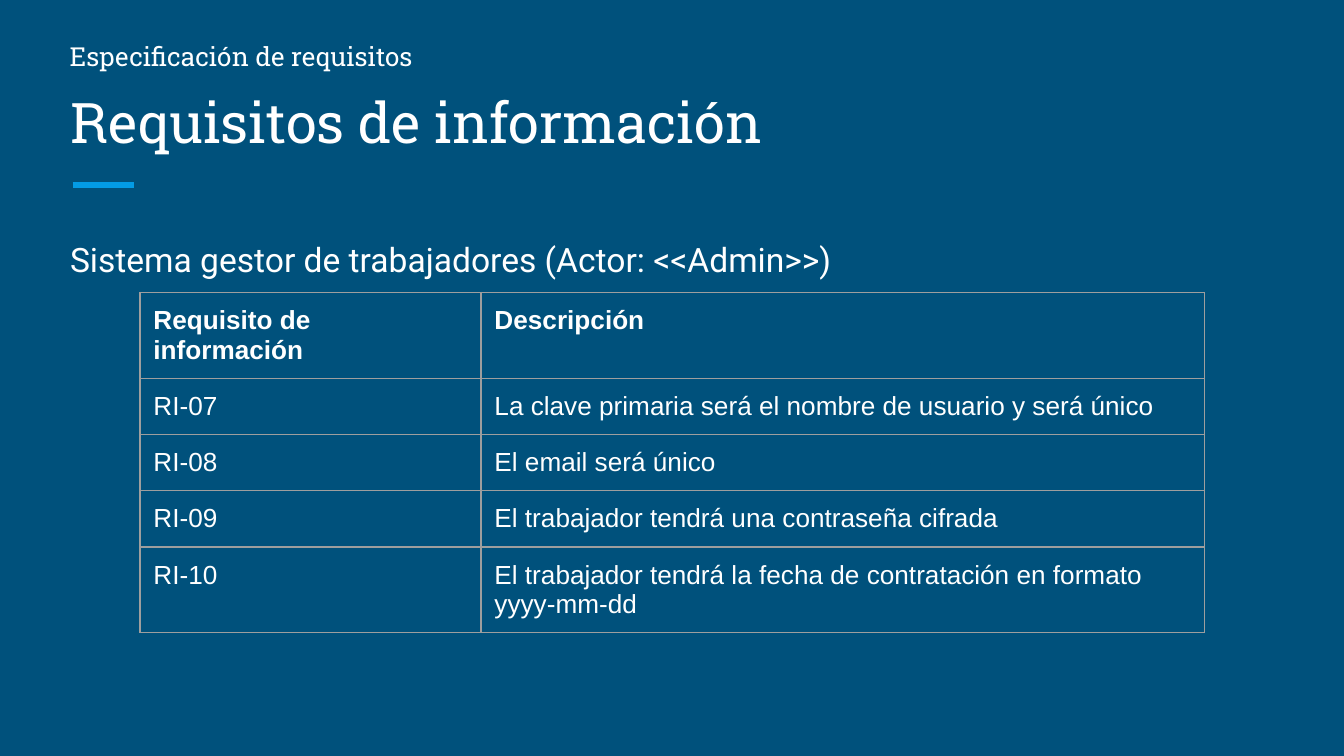
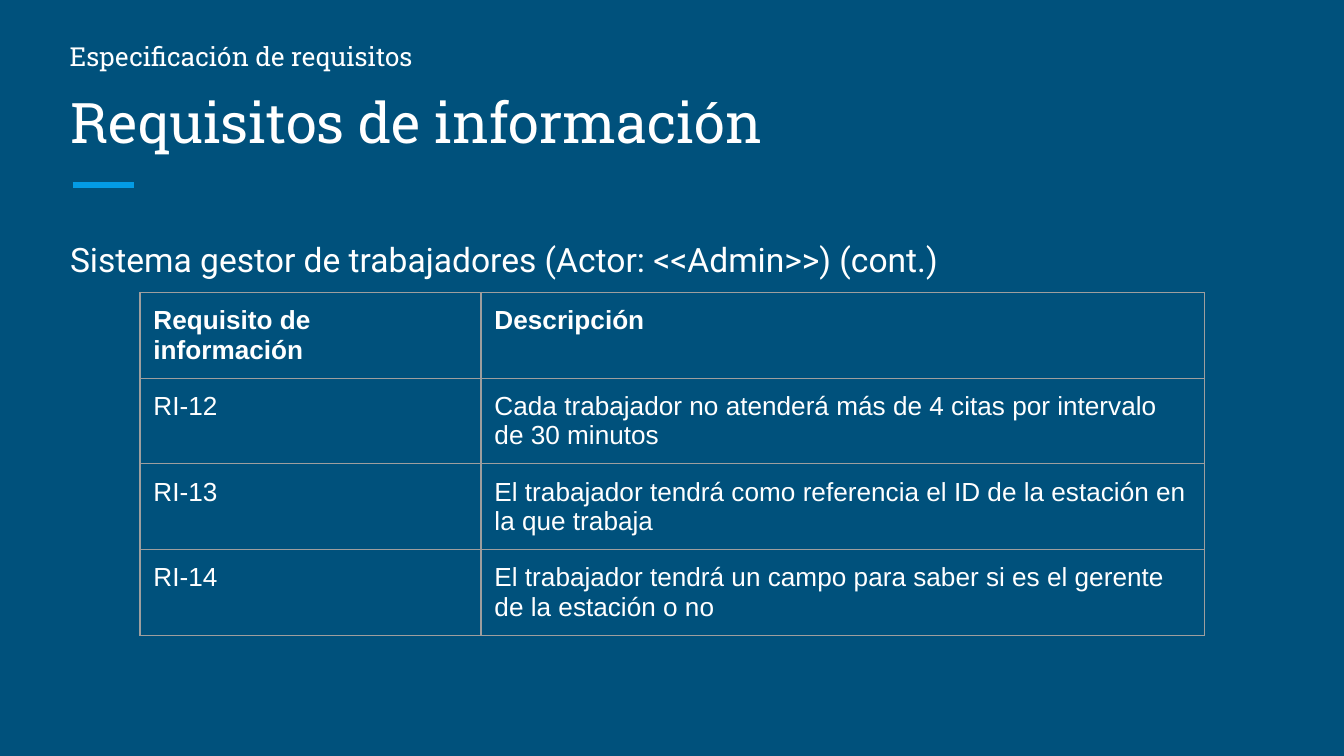
from lxml.etree import SubElement
from pptx import Presentation
from pptx.dml.color import RGBColor
from pptx.enum.shapes import MSO_CONNECTOR
from pptx.enum.text import MSO_ANCHOR, MSO_AUTO_SIZE, PP_ALIGN
from pptx.oxml.ns import qn
from pptx.util import Pt

SECTION = "Especificación de requisitos"
TITLE = "Requisitos de información"
HEADER = ("Requisito de información", "Descripción")
SLIDES = [
    {
        "system": "Sistema gestor de trabajadores (Actor: <<Admin>>)",
        "requirements": [
            ("RI-07", "La clave primaria será el nombre de usuario y será único"),
            ("RI-08", "El email será único"),
            ("RI-09", "El trabajador tendrá una contraseña cifrada"),
            ("RI-10", "El trabajador tendrá la fecha de contratación en formato yyyy-mm-dd"),
        ],
    },
    {
        "system": "Sistema gestor de trabajadores (Actor: <<Admin>>) (cont.)",
        "requirements": [
            ("RI-12", "Cada trabajador no atenderá más de 4 citas por intervalo de 30 minutos"),
            ("RI-13", "El trabajador tendrá como referencia el ID de la estación en la que trabaja"),
            ("RI-14", "El trabajador tendrá un campo para saber si es el gerente de la estación o no"),
        ],
    },
]

COLORS = {"background": "00517C", "accent": "039BE5", "text": "FFFFFF", "border": "9E9E9E"}
HEADING_FONT, BODY_FONT, TABLE_FONT = "Roboto Slab", "Roboto", "Arial"
INSET = Pt(7.2)
LEFT, WIDTH = 30.3, 658.8
COLUMNS = (182.7, 387.5)
ROW_HEIGHT = 30


def color(name):
    return RGBColor.from_string(COLORS[name])


def set_insets(target):
    target.margin_left = target.margin_right = INSET
    target.margin_top = target.margin_bottom = INSET


def write(frame, text, font, size, bold=False):
    paragraph = frame.paragraphs[0]
    paragraph.alignment = PP_ALIGN.LEFT
    run = paragraph.add_run()
    run.text = text
    run.font.name, run.font.size, run.font.bold = font, Pt(size), bold
    run.font.color.rgb = color("text")
    return paragraph


def fill_box(shape, box, anchor, text, font, size):
    shape.left, shape.top, shape.width, shape.height = map(Pt, box)
    frame = shape.text_frame
    frame.word_wrap = True
    frame.auto_size = MSO_AUTO_SIZE.NONE
    frame.vertical_anchor = anchor
    set_insets(frame)
    return write(frame, text, font, size)


def add_accent(slide):
    accent = slide.shapes.add_connector(MSO_CONNECTOR.STRAIGHT, Pt(38.9), Pt(99.2), Pt(72), Pt(99.2))
    accent.line.color.rgb = color("accent")
    accent.line.width = Pt(3)
    SubElement(accent.element.spPr, qn("a:effectLst"))


def add_borders(cell):
    properties = cell._tc.get_or_add_tcPr()
    for side in "LRTB":
        border = SubElement(properties, qn(f"a:ln{side}"), w=str(Pt(0.75)))
        solid = SubElement(border, qn("a:solidFill"))
        SubElement(solid, qn("a:srgbClr"), val=COLORS["border"])


def add_requirements(slide, requirements):
    rows = [HEADER, *requirements]
    table = slide.shapes.add_table(
        len(rows), len(COLUMNS), Pt(75), Pt(156.7), Pt(sum(COLUMNS)), Pt(ROW_HEIGHT * len(rows))
    ).table
    table.horz_banding = False
    for column, width in zip(table.columns, COLUMNS):
        column.width = Pt(width)
    for r, texts in enumerate(rows):
        for c, text in enumerate(texts):
            cell = table.cell(r, c)
            set_insets(cell)
            add_borders(cell)
            cell.fill.background()
            write(cell.text_frame, text, TABLE_FONT, 14, bold=r == 0)


def add_slide(prs, system, requirements):
    slide = prs.slides.add_slide(prs.slide_layouts[1])
    add_accent(slide)
    fill_box(slide.shapes.title, (LEFT, 36, WIDTH, 54), MSO_ANCHOR.BOTTOM, TITLE, HEADING_FONT, 30)

    intro = fill_box(slide.placeholders[1], (LEFT, 117.4, WIDTH, 242.6), MSO_ANCHOR.TOP,
                     system, BODY_FONT, 18)
    indents = intro._p.get_or_add_pPr()
    indents.set("marL", "0")
    indents.set("indent", "0")
    SubElement(indents, qn("a:buNone"))
    intro.line_spacing = 1.15
    intro.space_before, intro.space_after = Pt(0), Pt(12)

    section = slide.shapes.add_textbox(0, 0, 0, 0)
    fill_box(section, (LEFT, 14.4, 329, 31.7), MSO_ANCHOR.TOP, SECTION, HEADING_FONT, 14)
    add_requirements(slide, requirements)


def main():
    prs = Presentation()
    prs.slide_width, prs.slide_height = Pt(720), Pt(405)
    background = prs.slide_master.background.fill
    background.solid()
    background.fore_color.rgb = color("background")
    for content in SLIDES:
        add_slide(prs, **content)
    prs.save("out.pptx")


if __name__ == "__main__":
    main()
